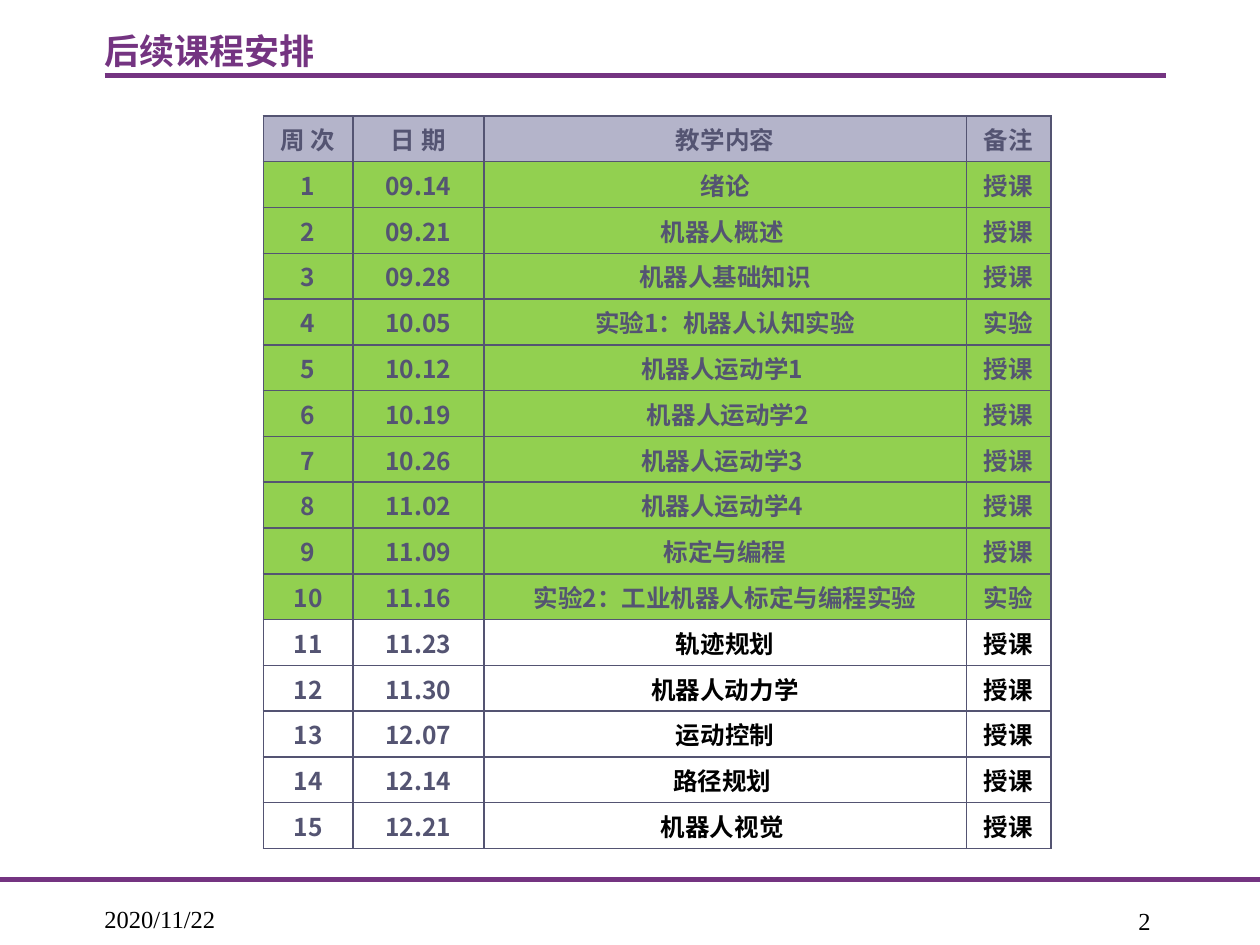
from typing import NamedTuple

from lxml import etree
from pptx import Presentation
from pptx.dml.color import RGBColor
from pptx.enum.shapes import MSO_CONNECTOR
from pptx.enum.text import MSO_ANCHOR, PP_ALIGN
from pptx.oxml.ns import qn
from pptx.util import Inches, Pt

LEFT, MID, RIGHT = PP_ALIGN.LEFT, PP_ALIGN.CENTER, PP_ALIGN.RIGHT
CENTRE, BOTTOM = MSO_ANCHOR.MIDDLE, MSO_ANCHOR.BOTTOM
STRAIGHT = MSO_CONNECTOR.STRAIGHT

WIDE, HIGH = Inches(10), Inches(7.5)
SANS, SERIF = "Noto Sans CJK SC", "Times New Roman"
HEX = {
    "purple": "743481",
    "slate": "545472",
    "head": "B4B4CA",
    "done": "92D050",
    "black": "000000",
}


class Box(NamedTuple):
    """Place and size in percent of the slide."""
    x: float
    y: float
    w: float
    h: float

    def emu(self) -> list[int]:
        return [round(v * full / 100) for v, full in zip(self, (WIDE, HIGH) * 2)]


class Rule(NamedTuple):
    x: float
    y: float
    w: float


class Note(NamedTuple):
    text: str
    box: Box
    align: PP_ALIGN


class Week(NamedTuple):
    date: str
    topic: str
    kind: str = "授课"


RULES = [Rule(8.3, 8, 84.2), Rule(0, 93.07, 100)]
TITLE = Box(8.3, 3.07, 67.7, 4.53)
NOTES = [
    Note("2020/11/22", Box(7.3, 92.8, 20.8, 6.67), LEFT),
    Note("2", Box(82.3, 94.13, 10, 5.47), RIGHT),
]
GRID = Box(20.9, 12.27, 62.5, 77.6)
COLS = [7.1, 10.4, 38.3, 6.7]
HEAD = ["周 次", "日 期", "教学内容", "备注"]
DONE = 10
WEEKS = [
    Week("09.14", "绪论"),
    Week("09.21", "机器人概述 "),
    Week("09.28", "机器人基础知识"),
    Week("10.05", "实验1：机器人认知实验", "实验"),
    Week("10.12", "机器人运动学1 "),
    Week("10.19", " 机器人运动学2"),
    Week("10.26", "机器人运动学3 "),
    Week("11.02", "机器人运动学4 "),
    Week("11.09", "标定与编程"),
    Week("11.16", "实验2：工业机器人标定与编程实验", "实验"),
    Week("11.23", "轨迹规划"),
    Week("11.30", "机器人动力学"),
    Week("12.07", "运动控制"),
    Week("12.14", "路径规划 "),
    Week("12.21", "机器人视觉 "),
]


def rgb(name: str) -> RGBColor:
    return RGBColor.from_string(HEX[name])


def write(frame, text: str, *, size=14, font=SANS, color="slate",
          bold=False, align=LEFT) -> None:
    para = frame.paragraphs[0]
    para.alignment = align
    run = para.add_run()
    run.text = text
    run.font.size, run.font.bold, run.font.name = Pt(size), bold, font
    run.font.color.rgb = rgb(color)
    east = etree.SubElement(run.font._element, qn("a:ea"))
    east.set("typeface", SANS)


def draw_rule(slide, rule: Rule) -> None:
    x, y, w, _ = Box(*rule, 0).emu()
    line = slide.shapes.add_connector(STRAIGHT, x, y, x + w, y)
    line.line.color.rgb = rgb("purple")
    line.line.width = Pt(3)
    etree.SubElement(line._element.spPr, qn("a:effectLst"))


def draw_title(slide, text: str) -> None:
    title = slide.shapes.title
    title.left, title.top, title.width, title.height = TITLE.emu()
    frame = title.text_frame
    frame.margin_left = frame.margin_right = 0
    frame.margin_top = frame.margin_bottom = 0
    frame.vertical_anchor = CENTRE
    write(frame, text, size=20, font=SERIF, color="purple", bold=True)


def draw_note(slide, note: Note) -> None:
    frame = slide.shapes.add_textbox(*note.box.emu()).text_frame
    frame.word_wrap = True
    frame.vertical_anchor = BOTTOM
    write(frame, note.text, font=SERIF, color="black", align=note.align)


def edge(cell) -> None:
    """Put a thin line on all four sides of a cell."""
    props = cell._tc.get_or_add_tcPr()
    for side in ("lnL", "lnR", "lnT", "lnB"):
        line = etree.SubElement(props, qn(f"a:{side}"), w=str(Pt(1)))
        fill = etree.SubElement(line, qn("a:solidFill"))
        etree.SubElement(fill, qn("a:srgbClr"), val=HEX["slate"])


def draw_cell(cell, text: str, fill: str | None, color: str) -> None:
    edge(cell)
    if fill:
        cell.fill.solid()
        cell.fill.fore_color.rgb = rgb(fill)
    else:
        cell.fill.background()
    cell.margin_left = cell.margin_right = Inches(0.02)
    cell.margin_top = cell.margin_bottom = 0
    cell.vertical_anchor = CENTRE
    write(cell.text_frame, text, color=color, bold=True, align=MID)


def draw_plan(slide) -> None:
    rows = [HEAD] + [[str(n), *week] for n, week in enumerate(WEEKS, 1)]
    box = GRID.emu()
    table = slide.shapes.add_table(len(rows), len(COLS), *box).table
    table.first_row = table.horz_banding = False
    for col, share in zip(table.columns, COLS):
        col.width = round(WIDE * share / 100)
    for r, row in enumerate(rows):
        table.rows[r].height = box[3] // len(rows)
        fill = "head" if r == 0 else "done" if r <= DONE else None
        for c, text in enumerate(row):
            color = "black" if r > DONE and c > 1 else "slate"
            draw_cell(table.cell(r, c), text, fill, color)


def main() -> None:
    deck = Presentation()
    deck.slide_width, deck.slide_height = WIDE, HIGH
    slide = deck.slides.add_slide(deck.slide_layouts[5])
    for rule in RULES:
        draw_rule(slide, rule)
    for note in NOTES:
        draw_note(slide, note)
    draw_title(slide, "后续课程安排")
    draw_plan(slide)
    deck.save("out.pptx")


if __name__ == "__main__":
    main()
